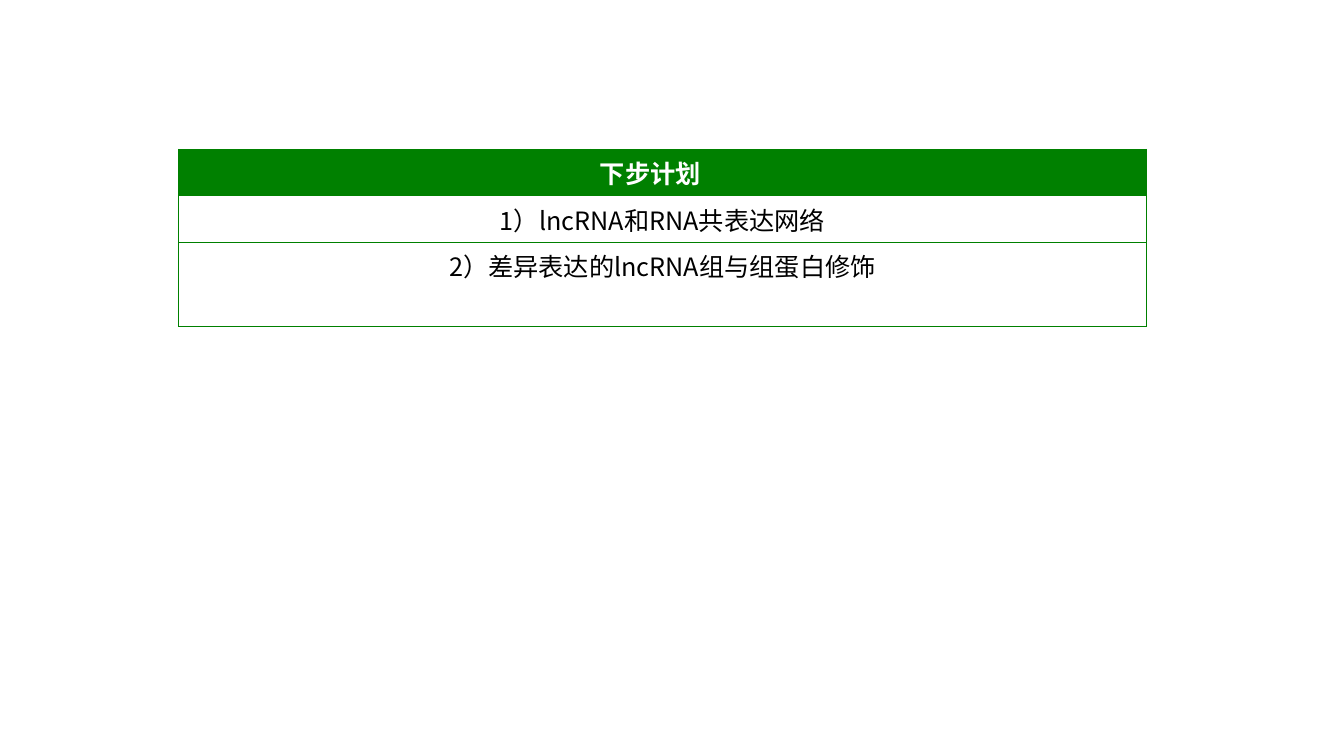
from lxml.etree import SubElement
from pptx import Presentation
from pptx.dml.color import RGBColor
from pptx.enum.text import MSO_ANCHOR, PP_ALIGN
from pptx.oxml.ns import qn
from pptx.util import Inches, Pt

FONT = "Noto Sans CJK SC"
GREEN, WHITE, BLACK = "008000", "FFFFFF", "000000"
COLUMN_WIDTHS = [4.08, 2.44, 3.08]
ROW_HEIGHTS = [0.46, 0.46, 0.83]
HEADING = "下步计划"
PLANS = ["1）lncRNA和RNA共表达网络", "2）差异表达的lncRNA组与组蛋白修饰"]


def color(hex_string):
    return RGBColor.from_string(hex_string)


def add_borders(cell, hex_string, points):
    properties = cell._tc.get_or_add_tcPr()
    for side in ("lnL", "lnR", "lnT", "lnB"):
        line = SubElement(properties, qn(f"a:{side}"), w=str(Pt(points)))
        fill = SubElement(line, qn("a:solidFill"))
        SubElement(fill, qn("a:srgbClr"), val=hex_string)


def write_cell(cell, text, hex_string, bold, alignment, anchor):
    cell.vertical_anchor = anchor
    paragraph = cell.text_frame.paragraphs[0]
    paragraph.text = text
    paragraph.alignment = alignment
    font = paragraph.font
    font.name, font.size, font.bold = FONT, Pt(18), bold
    font.color.rgb = color(hex_string)
    # The Chinese characters take the East Asian typeface
    defaults = paragraph._p.pPr.find(qn("a:defRPr"))
    SubElement(defaults, qn("a:ea"), typeface=FONT)


def add_plan_table(slide, left, top):
    frame = slide.shapes.add_table(
        len(ROW_HEIGHTS), len(COLUMN_WIDTHS), Inches(left), Inches(top),
        Inches(sum(COLUMN_WIDTHS)), Inches(sum(ROW_HEIGHTS)))
    table = frame.table
    table.first_row = table.horz_banding = False
    for column, width in zip(table.columns, COLUMN_WIDTHS):
        column.width = Inches(width)

    # Borders and fills
    for index, (row, height) in enumerate(zip(table.rows, ROW_HEIGHTS)):
        row.height = Inches(height)
        for cell in row.cells:
            add_borders(cell, GREEN, 0.5)
            if index == 0:
                cell.fill.solid()
                cell.fill.fore_color.rgb = color(GREEN)
            else:
                cell.fill.background()

    # Heading in the middle column, plans across the full width
    write_cell(table.cell(0, 1), HEADING, WHITE, True, PP_ALIGN.LEFT, MSO_ANCHOR.MIDDLE)
    for index, plan in enumerate(PLANS, start=1):
        cell = table.cell(index, 0)
        cell.merge(table.cell(index, len(COLUMN_WIDTHS) - 1))
        write_cell(cell, plan, BLACK, False, PP_ALIGN.CENTER, MSO_ANCHOR.TOP)


def main():
    presentation = Presentation()
    presentation.slide_width = Inches(13.33)
    presentation.slide_height = Inches(7.5)
    slide = presentation.slides.add_slide(presentation.slide_layouts[6])
    add_plan_table(slide, 1.77, 1.48)
    presentation.save("out.pptx")


if __name__ == "__main__":
    main()
